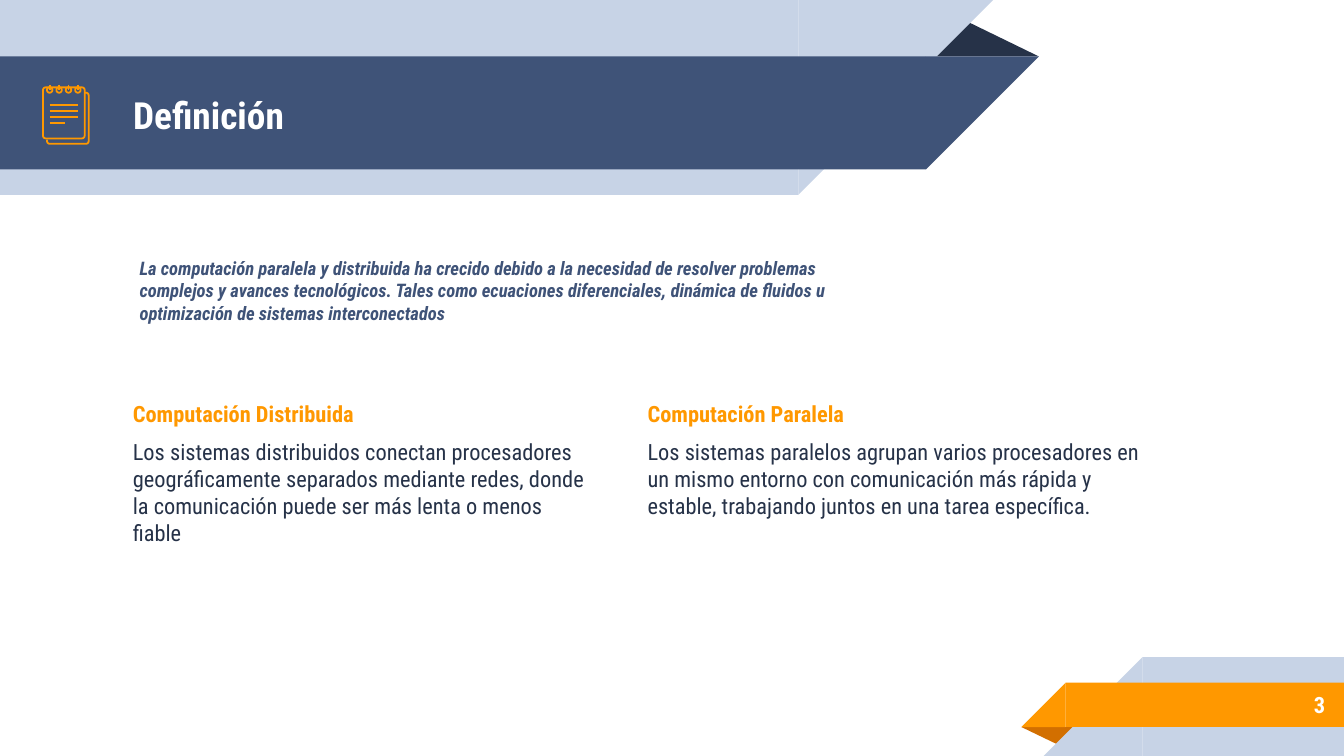
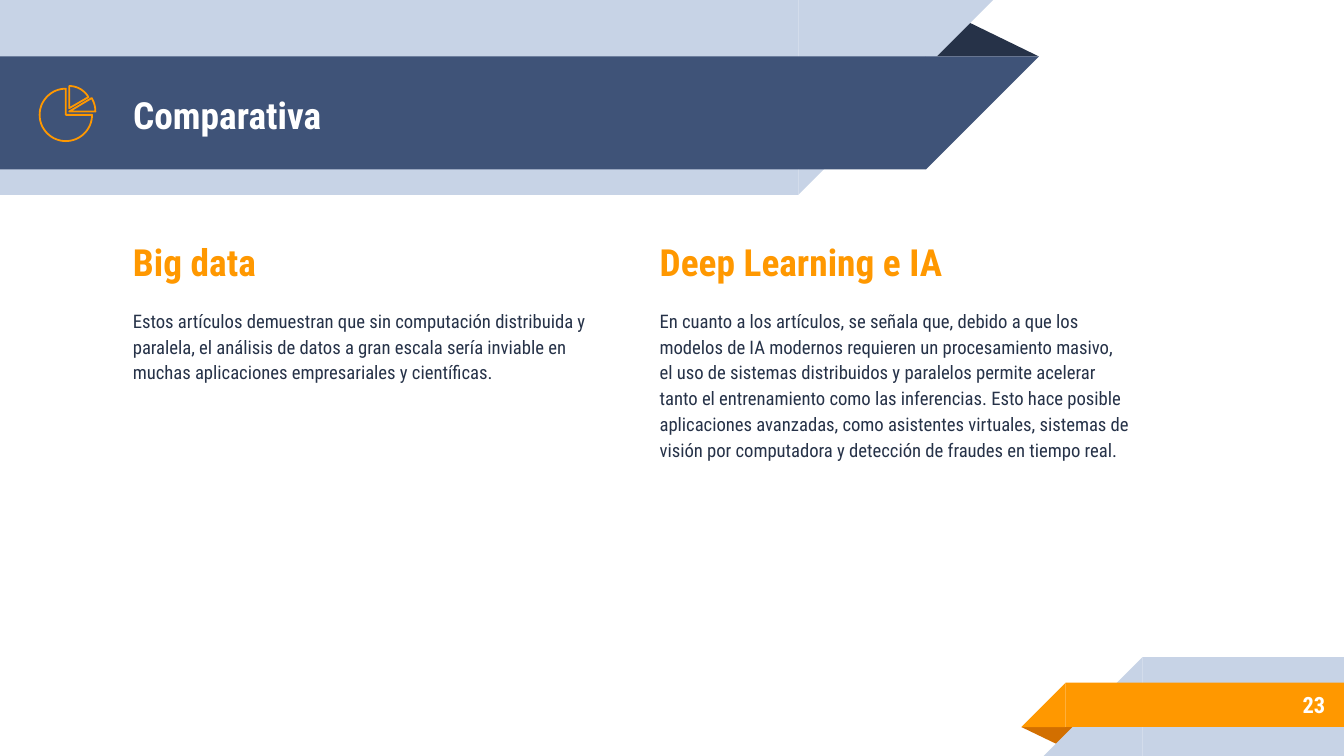
"""Build two Spanish slides on parallel and distributed computing."""
from math import cos, radians, sin

from pptx import Presentation
from pptx.dml.color import RGBColor
from pptx.enum.shapes import MSO_CONNECTOR, MSO_SHAPE
from pptx.enum.text import MSO_ANCHOR, MSO_AUTO_SIZE, PP_ALIGN
from pptx.oxml.ns import qn
from pptx.util import Emu, Pt

SCALE = 4572
WIDTH, HEIGHT = 2000, 1125
TITLE_ONLY = 5
FONT = "Roboto Condensed"
NAVY, INK, PALE = "3F5378", "263248", "C7D3E6"
ORANGE, RUST, WHITE = "FF9800", "D26F00", "FFFFFF"
RECT, CORNER, TRIANGLE = MSO_SHAPE.RECTANGLE, MSO_SHAPE.RIGHT_TRIANGLE, MSO_SHAPE.ISOSCELES_TRIANGLE
STRAIGHT = MSO_CONNECTOR.STRAIGHT
TOP, MIDDLE = MSO_ANCHOR.TOP, MSO_ANCHOR.MIDDLE
LEFT, RIGHT = PP_ALIGN.LEFT, PP_ALIGN.RIGHT
NO_FIT = MSO_AUTO_SIZE.NONE

BANDS = [
    (TRIANGLE, 1376, 28, 170, 56, INK, 0),
    (RECT, 0, 0, 1188, 290, PALE, 0),
    (CORNER, 1188, 0, 290, 290, PALE, 90),
    (RECT, 0, 84, 1378, 168, NAVY, 0),
    (CORNER, 1378, 84, 168, 168, NAVY, 90),
    (TRIANGLE, 1520, 1082, 86, 28, RUST, 180),
    (RECT, 1700, 978, 300, 147, PALE, 0),
    (CORNER, 1553, 978, 147, 147, PALE, 270),
    (RECT, 1586, 1016, 414, 66, ORANGE, 0),
    (CORNER, 1520, 1016, 66, 66, ORANGE, 270),
]

STYLES = {
    "title": (WHITE, {"size": Pt(20), "bold": True}, {"alignment": LEFT}),
    "number": (WHITE, {"size": Pt(12), "bold": True}, {"alignment": RIGHT}),
    "intro": (NAVY, {"size": Pt(10), "bold": True, "italic": True}, {}),
    "heading": (ORANGE, {"size": Pt(12), "bold": True}, {}),
    "body": (INK, {"size": Pt(12), "bold": False}, {"space_before": Pt(6)}),
    "large heading": (ORANGE, {"size": Pt(20), "bold": True}, {}),
    "small body": (INK, {"size": Pt(10), "bold": False},
                   {"space_before": Pt(12), "line_spacing": 1.15}),
}


def px(length):
    """Turn px into EMU."""
    return Emu(round(length * SCALE))


def color(value):
    """Turn a hex string into a colour."""
    return RGBColor.from_string(value)


def apply(target, values):
    """Set every attribute named in a dict."""
    for name, value in values.items():
        setattr(target, name, value)


def arc(x, y, radius, start, end, steps):
    """List points along a circular arc, in degrees clockwise from the right."""
    angles = [radians(start + (end - start) * step / steps) for step in range(steps + 1)]
    return [(x + radius * cos(angle), y + radius * sin(angle)) for angle in angles]


class Slides:
    """Hold the deck, its style and the current page."""

    def __init__(self):
        """Start an empty deck."""
        self.deck = Presentation()
        apply(self.deck, {"slide_width": px(WIDTH), "slide_height": px(HEIGHT)})
        self.page = None

    def start(self, title, number):
        """Add a page with its bands, title and number."""
        self.page = self.deck.slides.add_slide(self.deck.slide_layouts[TITLE_ONLY])
        for band in BANDS:
            self.band(*band)
        box = self.page.shapes.title
        self.page.shapes.element.append(box.element)
        place = {"left": 178, "top": 86, "width": 1150, "height": 168}
        apply(box, {name: px(value) for name, value in place.items()})
        self.fill_text(box, [(title, "title")], MIDDLE)
        self.text(1666, 1014, 326, 70, [(number, "number")], MIDDLE)

    def band(self, kind, left, top, width, height, fill, rotation):
        """Add one filled piece of a ribbon."""
        box = self.page.shapes.add_shape(kind, px(left), px(top), px(width), px(height))
        if kind == TRIANGLE:
            box.adjustments[0] = 0.324
        box.rotation = rotation
        box.shadow.inherit = False
        box.fill.solid()
        box.fill.fore_color.rgb = color(fill)
        box.line.fill.background()

    def text(self, left, top, width, height, lines, anchor=TOP):
        """Add a text box."""
        box = self.page.shapes.add_textbox(px(left), px(top), px(width), px(height))
        self.fill_text(box, lines, anchor)

    def fill_text(self, box, lines, anchor):
        """Fill a box with styled paragraphs."""
        frame = box.text_frame
        apply(frame, {"word_wrap": True, "auto_size": NO_FIT, "vertical_anchor": anchor})
        apply(frame, {f"margin_{side}": px(20) for side in ("left", "top", "right", "bottom")})
        for index, (words, style) in enumerate(lines):
            para = frame.add_paragraph() if index else frame.paragraphs[0]
            ink, font, layout = STYLES[style]
            span = para.add_run()
            span.text = words
            apply(span.font, {"name": FONT, **font})
            span.font.color.rgb = color(ink)
            apply(para, layout)

    def stroke(self, box):
        """Give an icon part its thin line."""
        box.line.color.rgb = color(ORANGE)
        box.line.width = Pt(0.96)

    def outline(self, points, close=True):
        """Add an unfilled outline."""
        corners = [(px(x), px(y)) for x, y in points]
        builder = self.page.shapes.build_freeform(*corners[0], scale=1.0)
        builder.add_line_segments(corners[1:], close=close)
        box = builder.convert_to_shape()
        box.shadow.inherit = False
        box.fill.background()
        self.stroke(box)

    def line(self, *ends):
        """Add a straight line."""
        box = self.page.shapes.add_connector(STRAIGHT, *map(px, ends))
        properties = box.element.spPr
        self.stroke(box)
        properties.append(properties.makeelement(qn("a:effectLst"), {}))

    def notepad(self):
        """Draw the notepad icon."""
        self.outline([(70, 208), *arc(74, 210, 4, 180, 90, 4), *arc(128, 210, 4, 90, 0, 4),
                      *arc(128, 142, 4, 0, -90, 4), (126, 138)], close=False)
        corners = [(68, 134), (122, 134), (122, 202), (68, 202)]
        self.outline([point for index, (x, y) in enumerate(corners)
                      for point in arc(x, y, 4, 180 + 90 * index, 270 + 90 * index, 4)])
        for x in range(74, 117, 14):
            self.outline(arc(x, 134, 4, 0, 360, 24))
            self.line(x, 126, x, 134)
        for y, end in zip(range(156, 184, 9), (116, 116, 116, 96)):
            self.line(74, y, end, y)

    def pie(self):
        """Draw the pie icon."""
        for x, y, radius, start, end in [(98, 171, 39, 0, 270), (103, 161, 33, -90, -30),
                                         (103, 166, 39, -31, 0)]:
            self.outline([(x, y), *arc(x, y, radius, start, end, 48)])


def main():
    """Build both pages and save the deck."""
    slides = Slides()

    slides.start("Definición", "3")
    slides.text(188, 362, 1130, 180, [(
        "La computación paralela y distribuida ha crecido debido a la necesidad de resolver "
        "problemas complejos y avances tecnológicos. Tales como ecuaciones diferenciales, "
        "dinámica de fluidos u optimización de sistemas interconectados", "intro")])
    slides.text(178, 576, 716, 384, [
        ("Computación Distribuida", "heading"),
        ("Los sistemas distribuidos conectan procesadores geográficamente separados mediante "
         "redes, donde la comunicación puede ser más lenta o menos fiable", "body")])
    slides.text(944, 576, 800, 384, [
        ("Computación Paralela", "heading"),
        ("Los sistemas paralelos agrupan varios procesadores en un mismo entorno con "
         "comunicación más rápida y estable, trabajando juntos en una tarea específica.", "body")])
    slides.notepad()

    slides.start("Comparativa", "23")
    slides.text(178, 336, 738, 596, [
        ("Big data", "large heading"),
        ("Estos artículos demuestran que sin computación distribuida y paralela, el análisis "
         "de datos a gran escala sería inviable en muchas aplicaciones empresariales y "
         "científicas.", "small body")])
    slides.text(962, 336, 738, 596, [
        ("Deep Learning e IA", "large heading"),
        ("En cuanto a los artículos, se señala que, debido a que los modelos de IA modernos "
         "requieren un procesamiento masivo, el uso de sistemas distribuidos y paralelos "
         "permite acelerar tanto el entrenamiento como las inferencias. Esto hace posible "
         "aplicaciones avanzadas, como asistentes virtuales, sistemas de visión por "
         "computadora y detección de fraudes en tiempo real.", "small body")])
    slides.pie()

    slides.deck.save("out.pptx")


if __name__ == "__main__":
    main()
